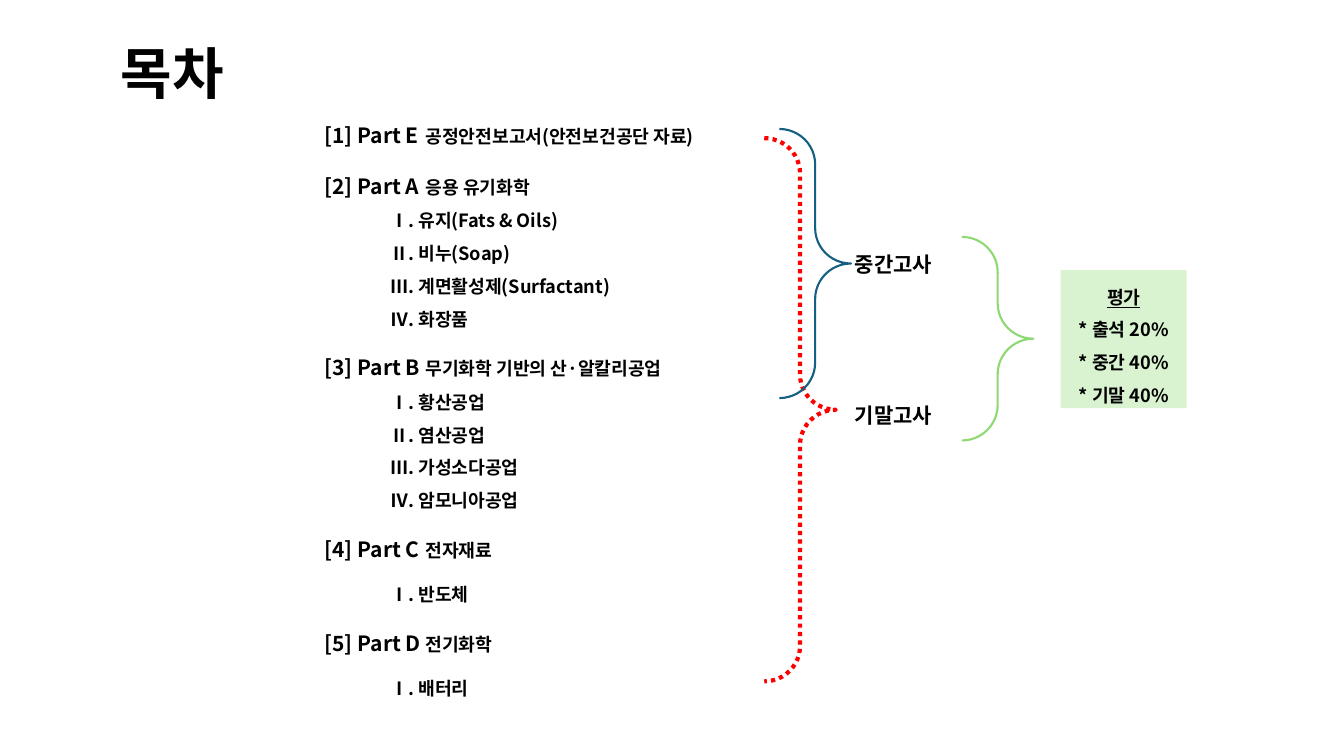
from lxml import etree
from pptx import Presentation
from pptx.dml.color import RGBColor
from pptx.enum.dml import MSO_LINE_DASH_STYLE as Dash
from pptx.enum.shapes import MSO_SHAPE as Shape
from pptx.enum.text import MSO_ANCHOR as Anchor, MSO_AUTO_SIZE as AutoSize, PP_ALIGN as Align
from pptx.oxml.ns import qn
from pptx.util import Inches, Pt

FONT = "Noto Sans CJK KR"
ROMAN = "ⅠⅡⅢⅣ"
HEADING_SIZE, ITEM_SIZE = 15, 13
ITEM_INDENT, TOPIC_TAB = 0.65, 1.05

# part, topic, items, line spacing of the items
CONTENTS = [
    ("Part E", "공정안전보고서(안전보건공단 자료)", [], 1.5),
    ("Part A", "응용 유기화학",
     ["유지(Fats & Oils)", "비누(Soap)", "계면활성제(Surfactant)", "화장품"], 1.5),
    ("Part B", "무기화학 기반의 산·알칼리공업",
     ["황산공업", "염산공업", "가성소다공업", "암모니아공업"], 1.5),
    ("Part C", "전자재료", ["반도체"], 2.0),
    ("Part D", "전기화학", ["배터리"], 2.0),
]
GRADING = [("출석", 20), ("중간", 40), ("기말", 40)]


def color(hex_code):
    return RGBColor.from_string(hex_code)


def add_run(paragraph, text, size):
    run = paragraph.add_run()
    run.text = text
    run.font.name = FONT
    run.font.size = Pt(size)
    run.font.bold = True
    run.font.color.rgb = color("000000")
    etree.SubElement(run.font._element, qn("a:ea"), typeface=FONT)
    return run


def place(shape, box):
    shape.left, shape.top, shape.width, shape.height = map(Inches, box)


def prepare_frame(shape, anchor=Anchor.TOP):
    frame = shape.text_frame
    frame.word_wrap = True
    frame.auto_size = AutoSize.NONE
    frame.vertical_anchor = anchor
    return frame


def next_paragraph(frame):
    """Return the empty first paragraph, or a new one after it."""
    first = frame.paragraphs[0]
    return frame.add_paragraph() if first.runs else first


def add_outline_line(frame, spacing, indent=0):
    paragraph = next_paragraph(frame)
    paragraph.line_spacing = spacing
    paragraph.space_before = Pt(0)
    properties = paragraph._p.get_or_add_pPr()
    properties.set("marL", str(Inches(indent)))
    properties.set("indent", "0")
    etree.SubElement(properties, qn("a:buNone"))
    tabs = etree.SubElement(properties, qn("a:tabLst"))
    etree.SubElement(tabs, qn("a:tab"), pos=str(Inches(TOPIC_TAB)), algn="l")
    return paragraph


def fill_title(slide, box):
    place(slide.shapes.title, box)
    paragraph = prepare_frame(slide.shapes.title).paragraphs[0]
    paragraph.alignment = Align.LEFT
    add_run(paragraph, "목차", 40)


def fill_contents(slide, box):
    body = slide.placeholders[1]
    place(body, box)
    frame = prepare_frame(body)
    for number, (part, topic, items, item_spacing) in enumerate(CONTENTS, 1):
        heading = add_outline_line(frame, 2.0)
        add_run(heading, f"[{number}] {part}", HEADING_SIZE)
        add_run(heading, f"\t{topic}", ITEM_SIZE)
        for numeral, item in zip(ROMAN, items):
            line = add_outline_line(frame, item_spacing, ITEM_INDENT)
            add_run(line, f"{numeral}. {item}", ITEM_SIZE)


def add_brace(slide, box, line_color, weight=1.5, dash=None):
    brace = slide.shapes.add_shape(Shape.RIGHT_BRACE, *map(Inches, box))
    brace.shadow.inherit = False
    brace.adjustments[0] = 0.495
    brace.fill.background()
    brace.line.color.rgb = color(line_color)
    brace.line.width = Pt(weight)
    if dash:
        brace.line.dash_style = dash


def add_exam(slide, box, name):
    label = slide.shapes.add_textbox(*map(Inches, box))
    add_run(prepare_frame(label).paragraphs[0], name, HEADING_SIZE)


def add_grading(slide, box):
    panel = slide.shapes.add_shape(Shape.RECTANGLE, *map(Inches, box))
    panel.shadow.inherit = False
    panel.fill.solid()
    panel.fill.fore_color.rgb = color("D9F2D0")
    panel.line.fill.background()
    frame = prepare_frame(panel)
    lines = ["평가"] + [f"* {name} {share}%" for name, share in GRADING]
    for index, text in enumerate(lines):
        paragraph = next_paragraph(frame)
        paragraph.alignment = Align.CENTER
        paragraph.line_spacing = 1.5
        add_run(paragraph, text, ITEM_SIZE).font.underline = index == 0


def build_contents_slide(deck):
    slide = deck.slides.add_slide(deck.slide_layouts[1])
    fill_title(slide, (1.1, 0.33, 1.42, 0.77))
    fill_contents(slide, (3.12, 0.92, 4.46, 6.06))
    add_brace(slide, (7.58, 1.37, 0.71, 5.39), "FF0000", 3, Dash.ROUND_DOT)
    add_brace(slide, (7.73, 1.28, 0.71, 2.67), "156082")
    add_exam(slide, (8.38, 2.45, 1.25, 0.35), "중간고사")
    add_exam(slide, (8.38, 3.94, 1.25, 0.35), "기말고사")
    add_grading(slide, (10.52, 2.68, 1.25, 1.37))
    add_brace(slide, (9.54, 2.35, 0.71, 2.02), "8ED973")


def main():
    deck = Presentation()
    deck.slide_width, deck.slide_height = Inches(13.33), Inches(7.5)
    build_contents_slide(deck)
    deck.save("out.pptx")


if __name__ == "__main__":
    main()
